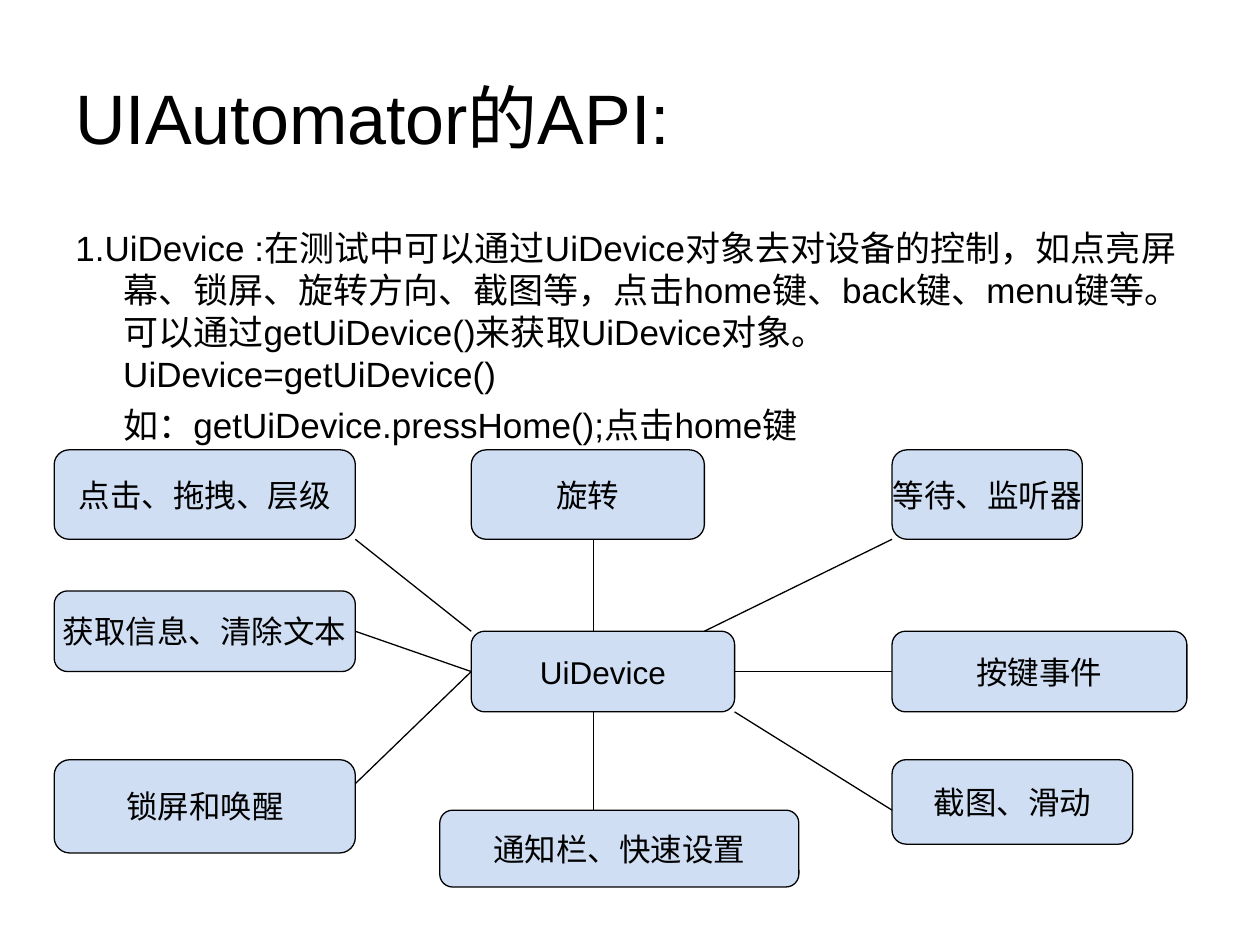
from lxml.etree import SubElement
from pptx import Presentation
from pptx.dml.color import RGBColor
from pptx.enum.shapes import MSO_CONNECTOR as Connector, MSO_SHAPE as Shape
from pptx.enum.text import MSO_ANCHOR as Anchor, PP_ALIGN as Align
from pptx.oxml.ns import qn
from pptx.util import Inches, Pt

FONT = "Arial"
BLACK = "000000"
NODE_FILL = "CFDEF3"
RIGHT_SIDE, LEFT_SIDE = 3, 1


def color(value):
    return RGBColor.from_string(value)


def style_para(para, size):
    para.font.name = FONT
    para.font.size = Pt(size)
    para.font.color.rgb = color(BLACK)


def style_line(item):
    item.line.color.rgb = color(BLACK)
    item.line.width = Pt(0.75)


def add_text_frame(page, left, top, width, height):
    box = page.shapes.add_textbox(Inches(left), Inches(top), Inches(width), Inches(height))
    box.text_frame.word_wrap = True
    return box.text_frame


def add_title(page, left, top, width, height):
    frame = add_text_frame(page, left, top, width, height)
    frame.vertical_anchor = Anchor.MIDDLE
    para = frame.paragraphs[0]
    para.text = "UIAutomator的API:"
    style_para(para, 40)


def add_body(page, left, top, width, height):
    frame = add_text_frame(page, left, top, width, height)
    texts = [
        ("1.UiDevice :在测试中可以通过UiDevice对象去对设备的控制，如点亮屏幕、锁屏、旋转方向、截图等，"
         "点击home键、back键、menu键等。可以通过getUiDevice()来获取UiDevice对象。UiDevice=getUiDevice()", -0.38),
        ("如：getUiDevice.pressHome();点击home键", 0),
    ]
    for index, (text, indent) in enumerate(texts):
        para = frame.add_paragraph() if index else frame.paragraphs[0]
        para.text = text
        para.space_before = Pt(5 if index else 0)
        properties = para._p.get_or_add_pPr()
        properties.set("marL", str(Inches(0.38)))
        properties.set("indent", str(Inches(indent)))
        style_para(para, 20)


def add_node(page, text, left, top, width, height):
    node = page.shapes.add_shape(
        Shape.FLOWCHART_ALTERNATE_PROCESS, Inches(left), Inches(top), Inches(width), Inches(height))
    node.shadow.inherit = False
    node.fill.solid()
    node.fill.fore_color.rgb = color(NODE_FILL)
    style_line(node)
    frame = node.text_frame
    frame.word_wrap = False
    frame.vertical_anchor = Anchor.MIDDLE
    para = frame.paragraphs[0]
    para.text = text
    para.alignment = Align.CENTER
    style_para(para, 18)
    return node


def add_spoke(page, x1, y1, x2, y2):
    spoke = page.shapes.add_connector(
        Connector.STRAIGHT, Inches(x1), Inches(y1), Inches(x2), Inches(y2))
    style_line(spoke)
    SubElement(spoke._element.spPr, qn("a:effectLst"))
    return spoke


def add_device_map(page, left, top):
    column_2, column_3 = left + 3.31, left + 6.65
    row_2, row_3 = top + 1.44, top + 2.46
    side_width, top_height, hub_width, hub_height = 2.39, 0.71, 2.09, 0.64
    notice_top = top + 2.86

    hub = add_node(page, "UiDevice", column_2, row_2, hub_width, hub_height)
    add_node(page, "点击、拖拽、层级", left, top, side_width, top_height)
    info = add_node(page, "获取信息、清除文本", left, top + 1.12, side_width, hub_height)
    add_node(page, "锁屏和唤醒", left, row_3, side_width, 0.74)
    add_node(page, "旋转", column_2, top, 1.85, top_height)
    add_node(page, "等待、监听器", column_3, top, 1.51, top_height)
    keys = add_node(page, "按键事件", column_3, row_2, 2.34, hub_height)
    add_node(page, "截图、滑动", column_3, row_3, 1.91, 0.67)
    add_node(page, "通知栏、快速设置", left + 3.06, notice_top, 2.85, 0.61)

    side_right, hub_right = left + side_width, column_2 + hub_width
    top_bottom, hub_bottom = top + top_height, row_2 + hub_height
    hub_middle, axis = row_2 + hub_height / 2, left + 4.28
    add_spoke(page, axis, row_2, axis, top_bottom)
    add_spoke(page, axis, hub_bottom, axis, notice_top)
    add_spoke(page, column_2, row_2, side_right, top_bottom)
    add_spoke(page, column_2 + 1.85, row_2, column_3, top_bottom)
    add_spoke(page, hub_right, hub_bottom, column_3, notice_top)

    to_info = add_spoke(page, column_2, hub_middle, side_right, row_2)
    to_info.begin_connect(hub, LEFT_SIDE)
    to_info.end_connect(info, RIGHT_SIDE)
    to_lock = add_spoke(page, column_2, hub_middle, side_right, top + 2.65)
    to_lock.begin_connect(hub, LEFT_SIDE)
    to_keys = add_spoke(page, hub_right, hub_middle, column_3, hub_middle)
    to_keys.begin_connect(hub, RIGHT_SIDE)
    to_keys.end_connect(keys, LEFT_SIDE)


def main():
    deck = Presentation()
    deck.slide_width, deck.slide_height = Inches(10), Inches(7.5)
    page = deck.slides.add_slide(deck.slide_layouts[6])
    add_title(page, 0.5, 0.3, 9, 1.25)
    add_body(page, 0.5, 1.75, 9, 4.95)
    add_device_map(page, 0.43, 3.57)
    deck.save("out.pptx")


if __name__ == "__main__":
    main()
